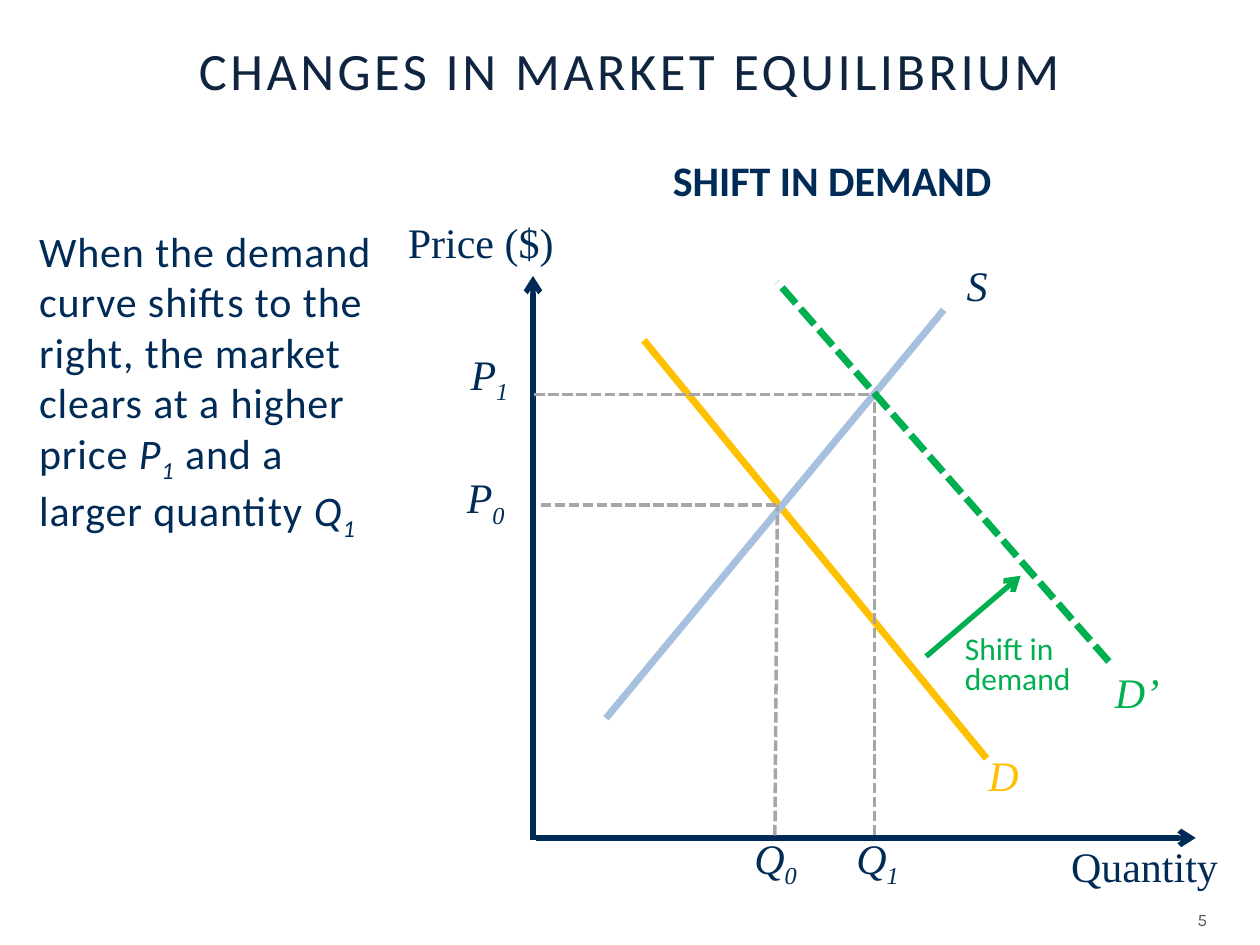
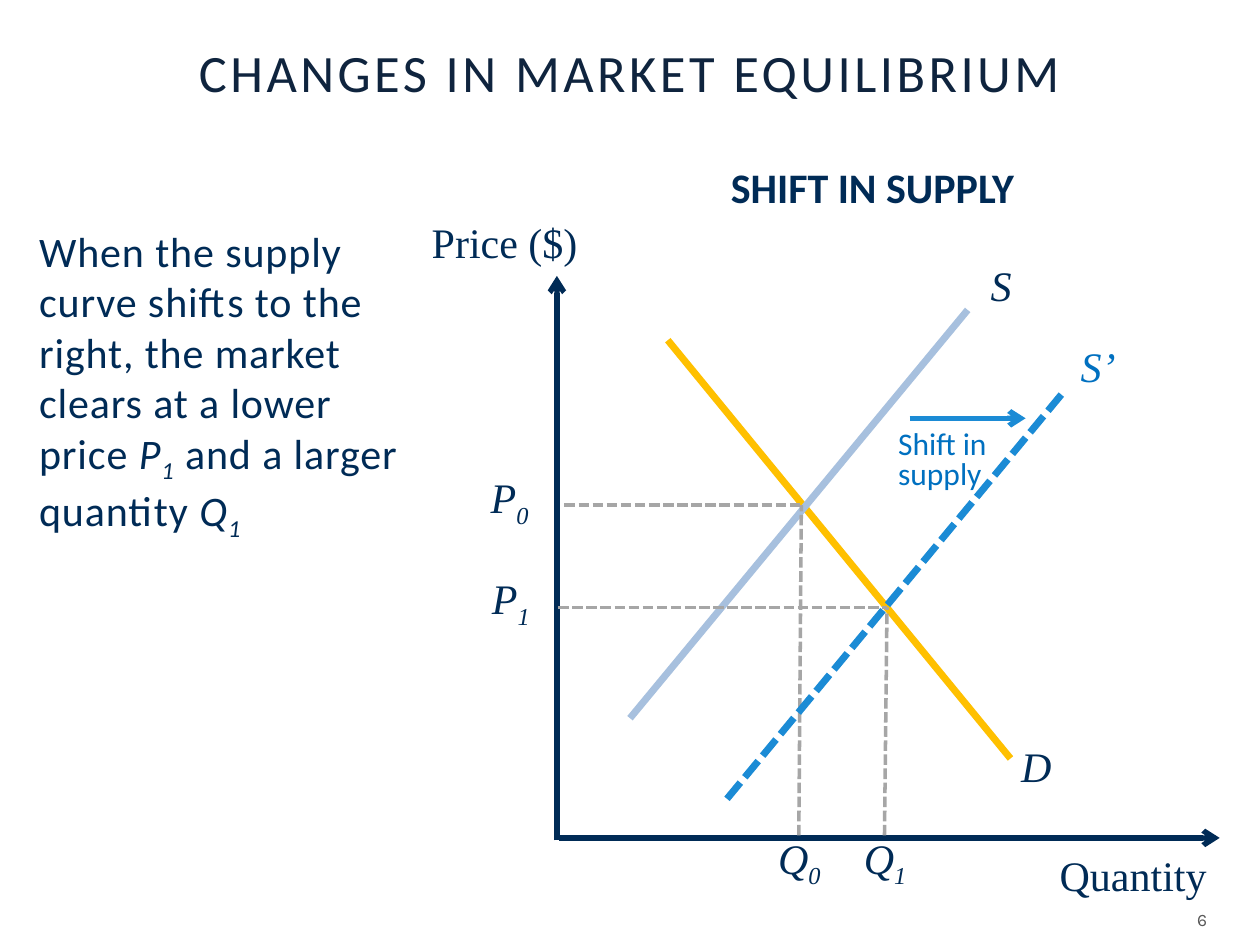
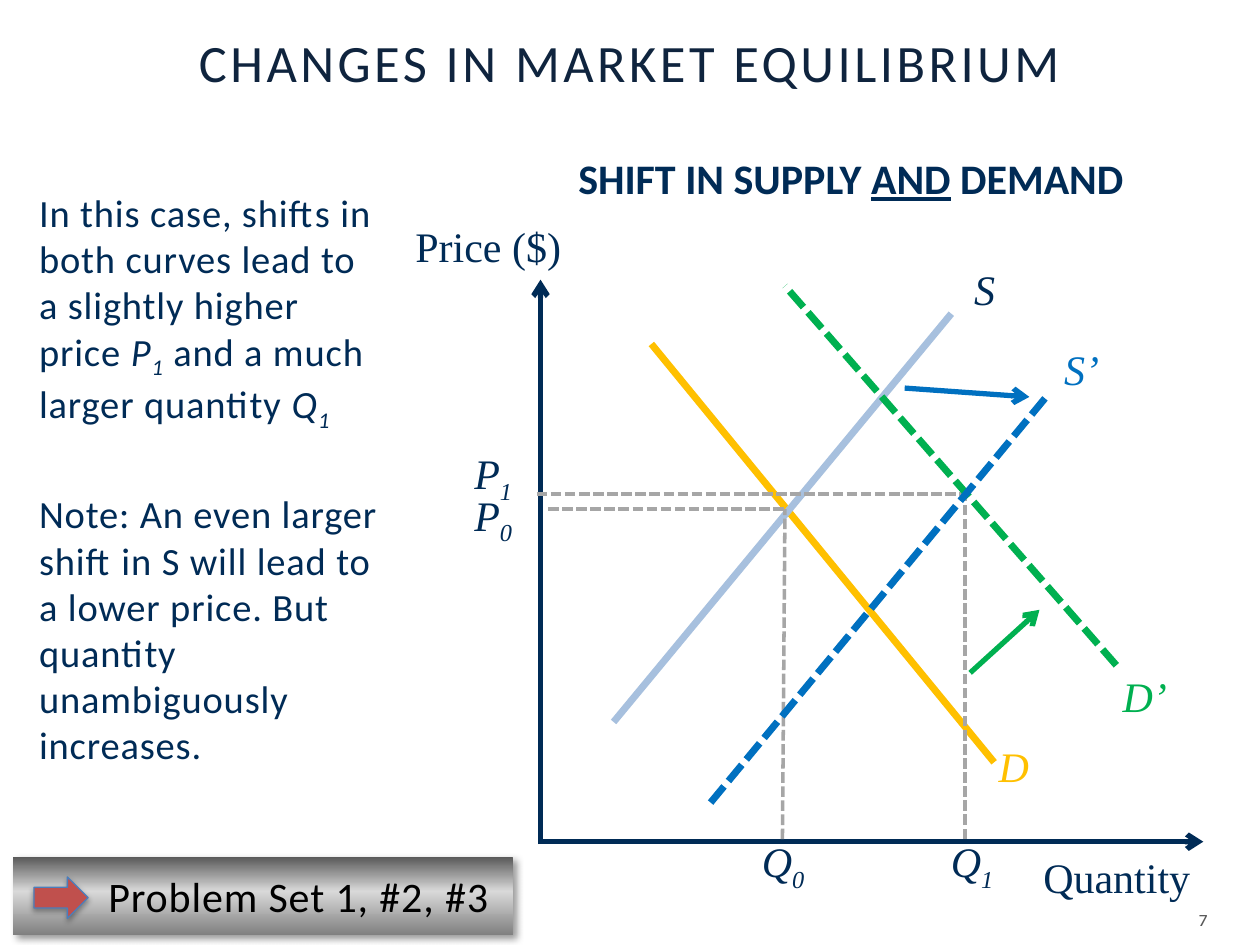
from dataclasses import dataclass

from lxml.etree import SubElement
from pptx import Presentation
from pptx.dml.color import RGBColor
from pptx.enum.dml import MSO_LINE
from pptx.enum.shapes import MSO_CONNECTOR, MSO_SHAPE
from pptx.enum.text import MSO_ANCHOR, MSO_AUTO_SIZE, PP_ALIGN
from pptx.oxml.ns import qn
from pptx.util import Inches, Pt


@dataclass(frozen=True)
class Theme:
    title: str = "0F243E"
    navy: str = "002B56"
    demand: str = "FFC000"
    supply: str = "A7C0DE"
    guide: str = "A6A6A6"
    green: str = "00B050"
    blue: str = "0070C0"
    bright_blue: str = "1B8BD5"
    number: str = "595959"
    black: str = "000000"
    red: str = "C0504D"
    red_edge: str = "4B7EBC"
    banner_stops: tuple = ((0, "595959"), (44, "D9D9D9"), (100, "808080"))
    sans: str = "Calibri"
    serif: str = "Times New Roman"
    number_font: str = "Karla"
    title_size: float = 30
    text_size: float = 24
    long_text_size: float = 22
    note_size: float = 18
    number_size: float = 10
    curve_width: float = 4
    axis_width: float = 3
    guide_width: float = 2


@dataclass(frozen=True)
class TextStyle:
    color: str
    size: float
    font: str
    bold: bool = False
    spacing: float = 0


THEME = Theme()
LABEL_INSETS = (0.02, 0.03)
HEADING_INSETS = (0.11, 0.05)
TEXT_INSETS = (0.1, 0.05)
TITLE = "CHANGES IN MARKET EQUILIBRIUM"


def variable(letter, index):
    """Runs for an italic letter with a subscript."""
    return [(letter, "italic"), (str(index), "italic sub")]


class Deck:
    def __init__(self, theme):
        self.theme = theme
        self.presentation = Presentation()
        self.presentation.slide_width = Inches(10)
        self.presentation.slide_height = Inches(7.5)
        self.slide = None
        self.shift = (0, 0)

    def start_slide(self, number, title_height, shift):
        """Add a slide whose diagram is moved by shift."""
        theme = self.theme
        layout = self.presentation.slide_layouts[1]
        self.slide = self.presentation.slides.add_slide(layout)
        self.shift = shift
        title = self.slide.shapes.title
        self.place(title, (0.5, 0.14, 9, title_height))
        frame = self.format_frame(title, TEXT_INSETS, MSO_ANCHOR.MIDDLE)
        frame.paragraphs[0].alignment = PP_ALIGN.CENTER
        style = TextStyle(theme.title, theme.title_size, theme.sans, spacing=2)
        self.add_runs(frame.paragraphs[0], [(TITLE, "")], style)

        style = TextStyle(theme.number, theme.number_size, theme.number_font, spacing=3)
        frame = self.text_box((7.35, 7.1, 2.33, 0.4), [[(str(number), "")]], style)
        frame.vertical_anchor = MSO_ANCHOR.MIDDLE
        frame.paragraphs[0].alignment = PP_ALIGN.RIGHT

    @staticmethod
    def place(shape, box):
        shape.left, shape.top, shape.width, shape.height = map(Inches, box)

    @staticmethod
    def format_frame(shape, insets, anchor=MSO_ANCHOR.TOP):
        frame = shape.text_frame
        frame.auto_size = MSO_AUTO_SIZE.NONE
        frame.word_wrap = True
        frame.vertical_anchor = anchor
        frame.margin_left = frame.margin_right = Inches(insets[0])
        frame.margin_top = frame.margin_bottom = Inches(insets[1])
        return frame

    @staticmethod
    def add_runs(paragraph, runs, style):
        for text, marks in runs:
            run = paragraph.add_run()
            run.text = text
            font = run.font
            font.name, font.size, font.bold = style.font, Pt(style.size), style.bold
            font.color.rgb = RGBColor.from_string(style.color)
            font.italic = "italic" in marks
            font.underline = "underline" in marks
            properties = run._r.get_or_add_rPr()
            if style.spacing:
                properties.set("spc", str(int(style.spacing * 100)))
            if "sub" in marks:
                properties.set("baseline", "-25000")

    def fill_frame(self, frame, paragraphs, style):
        for index, runs in enumerate(paragraphs):
            paragraph = frame.add_paragraph() if index else frame.paragraphs[0]
            self.add_runs(paragraph, runs, style)

    def text_box(self, box, paragraphs, style, insets=TEXT_INSETS):
        shape = self.slide.shapes.add_textbox(*map(Inches, box))
        frame = self.format_frame(shape, insets)
        self.fill_frame(frame, paragraphs, style)
        return frame

    def body(self, box, paragraphs, size, gap=0):
        theme = self.theme
        shape = self.slide.placeholders[1]
        self.place(shape, box)
        frame = self.format_frame(shape, TEXT_INSETS)
        style = TextStyle(theme.navy, size, theme.sans, spacing=0.5)
        self.fill_frame(frame, paragraphs, style)
        for index, paragraph in enumerate(frame.paragraphs):
            properties = paragraph._p.get_or_add_pPr()
            properties.set("marL", "0")
            properties.set("indent", "0")
            SubElement(properties, qn("a:buNone"))
            paragraph.space_before = Pt(gap if index else 0)

    def heading(self, box, runs):
        theme = self.theme
        style = TextStyle(theme.navy, theme.text_size, theme.sans, bold=True)
        self.text_box(box, [runs], style, HEADING_INSETS)

    def note(self, box, lines, color):
        style = TextStyle(color, self.theme.note_size, self.theme.sans)
        frame = self.text_box(box, [[(line, "")] for line in lines], style)
        for paragraph in frame.paragraphs:
            paragraph.line_spacing = 0.8

    def moved(self, point):
        return point[0] + self.shift[0], point[1] + self.shift[1]

    def label(self, corner, runs, width=0.73, color=None):
        """Centred diagram label at a corner given in diagram coordinates."""
        style = TextStyle(color or self.theme.navy, self.theme.text_size, self.theme.serif)
        box = (*self.moved(corner), width, 0.69)
        frame = self.text_box(box, [runs], style, LABEL_INSETS)
        frame.word_wrap = False
        paragraph = frame.paragraphs[0]
        paragraph.alignment = PP_ALIGN.CENTER
        paragraph.line_spacing = Pt(29.5)

    def line(self, start, end, color, width, dashed=False, arrow=False):
        """Line between two points given in diagram coordinates."""
        points = map(Inches, (*self.moved(start), *self.moved(end)))
        connector = self.slide.shapes.add_connector(MSO_CONNECTOR.STRAIGHT, *points)
        connector.line.color.rgb = RGBColor.from_string(color)
        connector.line.width = Pt(width)
        if dashed:
            connector.line.dash_style = MSO_LINE.SQUARE_DOT
        properties = connector._element.spPr
        if arrow:
            SubElement(properties.find(qn("a:ln")), qn("a:tailEnd"), type="arrow")
        SubElement(properties, qn("a:effectLst"))

    def market(self, demand_label, demand_color, quantity_left, quantity_top):
        """Axes with the first demand and supply curves."""
        theme = self.theme
        self.line((5.11, 2.7), (7.83, 6.02), theme.demand, theme.curve_width)
        self.label(demand_label, [("D", "italic")], 0.85, demand_color)
        self.line((4.81, 5.7), (7.49, 2.46), theme.supply, theme.curve_width)
        self.label((7.49, 2.02), [("S", "italic")], 0.53)
        self.line((4.23, 6.67), (4.23, 2.19), theme.navy, theme.axis_width, arrow=True)
        self.line((4.25, 6.65), (9.49, 6.65), theme.navy, theme.axis_width, arrow=True)
        self.label((3.42, 1.68), [("Price ($)", "")], 0.79)
        style = TextStyle(theme.navy, theme.text_size, theme.serif)
        self.text_box((quantity_left, quantity_top, 1.58, 0.51),
                      [[("Quantity", "")]], style, HEADING_INSETS)

    def equilibrium(self, index, point, price_corner, quantity_left, start=4.24, lean=0):
        """Dashed guides from a crossing to both axes; lean moves the foot left."""
        theme = self.theme
        x, y = point
        guide = (theme.guide, theme.guide_width, True)
        self.line((start, y), point, *guide)
        self.label(price_corner, variable("P", index))
        self.line((x - lean, 6.63), point, *guide)
        self.label((quantity_left, 6.62), variable("Q", index))

    def new_demand(self):
        theme = self.theme
        self.line((8.8, 5.25), (6.17, 2.24), theme.green, theme.curve_width, dashed=True)
        self.label((8.76, 5.25), [("D’", "italic")], 0.53, theme.green)

    def new_supply(self, color):
        theme = self.theme
        self.line((5.58, 6.34), (8.26, 3.1), color, theme.curve_width, dashed=True)
        self.label((8.26, 2.66), [("S’", "italic")], 0.53, theme.blue)

    def shift_arrow(self, start, end, color):
        self.line(start, end, color, self.theme.axis_width, arrow=True)

    def preset(self, kind, box, shadow):
        """Preset shape with a shadow of (opacity, blur, distance, angle)."""
        shape = self.slide.shapes.add_shape(kind, *map(Inches, box))
        shape.shadow.inherit = False
        opacity, blur, distance, angle = shadow
        effects = shape._element.spPr.find(qn("a:effectLst"))
        outer = SubElement(effects, qn("a:outerShdw"), blurRad=str(Pt(blur)),
                           dist=str(Pt(distance)), dir=str(angle * 60000), rotWithShape="0")
        color = SubElement(outer, qn("a:srgbClr"), val=self.theme.black)
        SubElement(color, qn("a:alpha"), val=str(opacity * 1000))
        return shape

    def banner(self, text):
        theme = self.theme
        shape = self.preset(MSO_SHAPE.RECTANGLE, (0.1, 6.8, 3.97, 0.62), (40, 4, 3, 45))
        shape.fill.gradient()
        shape.fill.gradient_angle = 270
        stops = shape._element.spPr.find(".//" + qn("a:gsLst"))
        for stop in list(stops):
            stops.remove(stop)
        for position, color in theme.banner_stops:
            stop = SubElement(stops, qn("a:gs"), pos=str(position * 1000))
            SubElement(stop, qn("a:srgbClr"), val=color)
        shape.line.fill.background()
        frame = self.format_frame(shape, TEXT_INSETS, MSO_ANCHOR.MIDDLE)
        frame.margin_left = Inches(0.76)
        frame.margin_right = 0
        frame.paragraphs[0].alignment = PP_ALIGN.LEFT
        style = TextStyle(theme.black, theme.text_size, theme.sans, spacing=0.5)
        self.add_runs(frame.paragraphs[0], [(text, "")], style)

        arrow = self.preset(MSO_SHAPE.RIGHT_ARROW, (0.27, 6.96, 0.43, 0.33), (35, 3.1, 1.8, 90))
        arrow.fill.solid()
        arrow.fill.fore_color.rgb = RGBColor.from_string(theme.red)
        arrow.line.color.rgb = RGBColor.from_string(theme.red_edge)
        arrow.line.width = Pt(0.75)


def outcome(before, between, after=""):
    """Sentence that names the new price and the new quantity."""
    return [(before, ""), *variable("P", 1), (between, ""), *variable("Q", 1)]


def demand_slide(deck):
    theme = deck.theme
    deck.start_slide(5, 0.83, (0, 0))
    deck.body((0.21, 1.74, 2.93, 3.96), [outcome(
        "When the demand curve shifts to the right, the market clears at a higher price ",
        " and a larger quantity ")], theme.text_size)
    deck.market((7.54, 5.91), theme.demand, 8.39, 6.62)
    deck.equilibrium(0, (6.17, 4.01), (3.49, 3.76), 5.79, start=4.29, lean=0.02)
    deck.equilibrium(1, (6.94, 3.13), (3.52, 2.78), 6.6)
    deck.new_demand()
    deck.shift_arrow((7.35, 5.21), (8.1, 4.57), theme.green)
    deck.heading((5.23, 1.18, 3.21, 0.46), [("SHIFT IN DEMAND", "")])
    deck.note((7.56, 5, 1.08, 0.59), ["Shift in", "demand"], theme.green)


def supply_slide(deck):
    theme = deck.theme
    deck.start_slide(6, 0.86, (0.19, 0))
    deck.body((0.21, 1.74, 3.09, 3.96), [outcome(
        "When the supply curve shifts to the right, the market clears at a lower price ",
        " and a larger quantity ")], theme.text_size)
    deck.market((7.61, 5.84), theme.navy, 8.3, 6.69)
    deck.equilibrium(0, (6.17, 4.01), (3.49, 3.76), 5.79, start=4.29, lean=0.02)
    deck.equilibrium(1, (6.85, 4.82), (3.5, 4.56), 6.47, lean=0.02)
    deck.new_supply(theme.bright_blue)
    deck.shift_arrow((7.03, 3.32), (7.95, 3.32), theme.bright_blue)
    deck.heading((5.69, 1.23, 3.21, 0.46), [("SHIFT IN SUPPLY", "")])
    deck.note((7.03, 3.37, 1.26, 0.59), ["Shift in supply"], theme.blue)


def both_slide(deck):
    theme = deck.theme
    deck.start_slide(7, 0.69, (0.06, 0.03))
    deck.body((0.21, 1.45, 2.93, 5.22), [
        outcome("In this case, shifts in both curves lead to a slightly higher price ",
                " and a much larger quantity "),
        [("Note: An even larger shift in S will lead to a lower price. "
          "But quantity unambiguously increases.", "")],
    ], theme.long_text_size, gap=33)
    deck.market((7.56, 5.81), theme.demand, 8.17, 6.71)
    deck.equilibrium(0, (6.17, 4.01), (3.49, 3.87), 5.79, start=4.29, lean=0.02)
    deck.equilibrium(1, (7.6, 3.89), (3.49, 3.54), 7.29, start=4.2)
    deck.new_demand()
    deck.shift_arrow((7.64, 5.31), (8.19, 4.81), theme.green)
    deck.new_supply(theme.blue)
    deck.shift_arrow((7.12, 3.05), (8.11, 3.12), theme.blue)
    deck.heading((4.48, 1.16, 5.2, 0.46),
                 [("SHIFT IN SUPPLY ", ""), ("AND", "underline"), (" DEMAND", "")])
    deck.banner("Problem Set 1, #2, #3")


def main():
    deck = Deck(THEME)
    demand_slide(deck)
    supply_slide(deck)
    both_slide(deck)
    deck.presentation.save("out.pptx")


if __name__ == "__main__":
    main()
